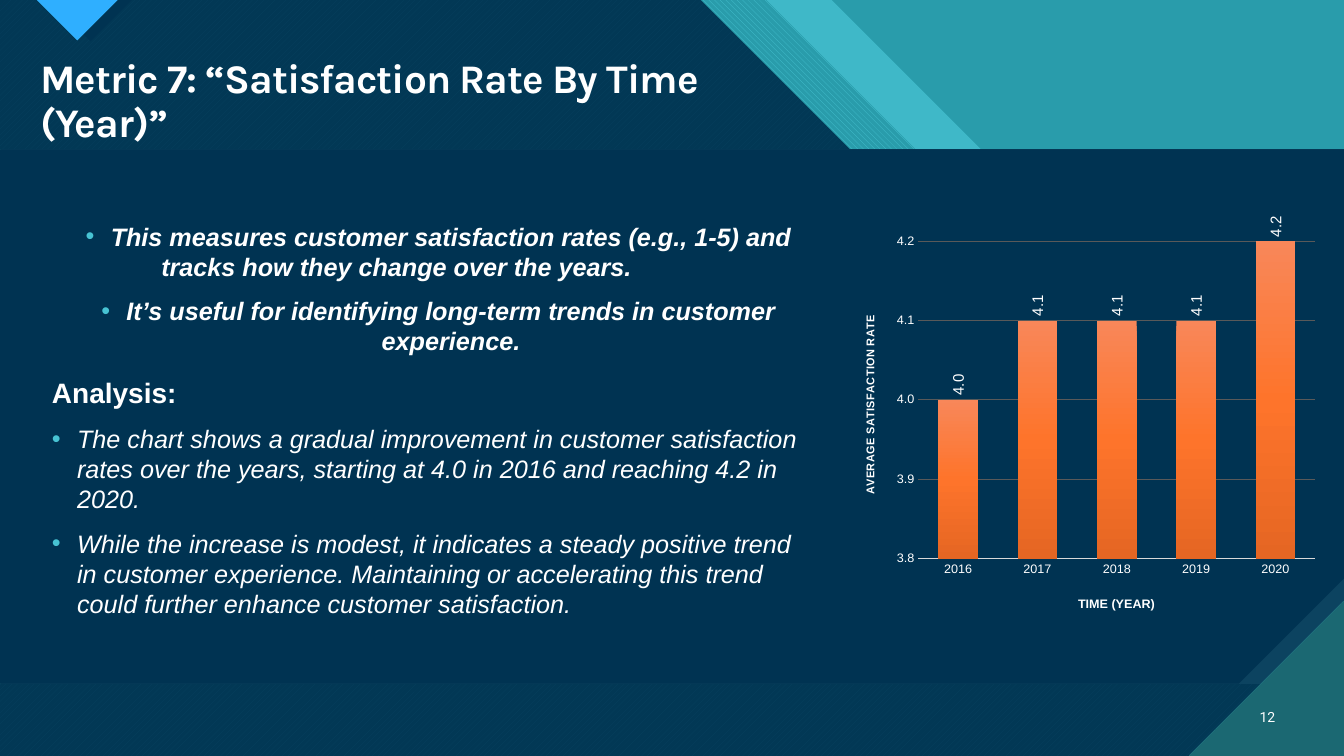
from pptx import Presentation
from pptx import util as u
from pptx.chart import data
from pptx.dml import color
from pptx.enum import chart as ch, dml, shapes, text
from pptx.oxml import parse_xml
from pptx.oxml.ns import qn
from lxml import etree

COLS, ROWS = 160, 90
CELL = u.Inches(1 / 12)
NS_A = "http://schemas.openxmlformats.org/drawingml/2006/main"
NS_C = "http://schemas.openxmlformats.org/drawingml/2006/chart"
WHITE, NAVY, TEAL, AQUA, PINE = "FFFFFF", "003352", "299CAB", "47C3D3", "1B6872"
PATTERN = dml.MSO_PATTERN


def rgb(value):
    return color.RGBColor.from_string(value)


def grid(*cells):
    return [round(cell * CELL) for cell in cells]


def place(parent, x, y, w=None, h=None):
    old = parent.find(qn("c:layout"))
    if old is not None:
        parent.remove(old)
    layout = etree.Element(qn("c:layout"))
    manual = etree.SubElement(layout, qn("c:manualLayout"))
    values = [("xMode", "edge"), ("yMode", "edge"), ("x", x), ("y", y)]
    if w:
        values = [("layoutTarget", "inner"), *values, ("w", w), ("h", h)]
    for tag, value in values:
        etree.SubElement(manual, qn("c:" + tag)).set("val", str(value))
    before = parent.find(qn("c:tx"))
    parent.insert(0 if before is None else 1, layout)


class Deck:
    base = {"name": "Arial", "size": u.Pt(18), "color": WHITE, "bold": False, "italic": False}

    def __init__(self):
        self.show = Presentation()
        self.show.slide_width, self.show.slide_height = grid(COLS, ROWS)
        self.slide = self.show.slides.add_slide(self.show.slide_layouts[6])
        backdrop = self.slide.background.fill
        backdrop.solid()
        backdrop.fore_color.rgb = rgb(AQUA)

    def style(self, font, **changes):
        for key, value in {**self.base, **changes}.items():
            if key == "color":
                font.color.rgb = rgb(value)
            else:
                setattr(font, key, value)

    def paint(self, shape, fill, pattern=None, back=None, alpha=None):
        shape.shadow.inherit = False
        shape.line.fill.background()
        if pattern:
            shape.fill.patterned()
            shape.fill.pattern = pattern
            shape.fill.back_color.rgb = rgb(back)
        else:
            shape.fill.solid()
        shape.fill.fore_color.rgb = rgb(fill)
        if alpha:
            tint = shape._element.spPr.find(".//" + qn("a:srgbClr"))
            etree.SubElement(tint, qn("a:alpha")).set("val", str(alpha * 1000))

    def block(self, kind, box, fill, **finish):
        shape = self.slide.shapes.add_shape(kind, *grid(*box))
        self.paint(shape, fill, **finish)
        return shape

    def outline(self, points, fill, **finish):
        start, *rest = [tuple(grid(*point)) for point in points]
        pen = self.slide.shapes.build_freeform(*start)
        pen.add_line_segments(rest)
        self.paint(pen.convert_to_shape(), fill, **finish)

    def sheet(self, top, shelf, fill, **finish):
        drop = 35.7
        self.outline([(0, 0), (top, 0), (top + drop, drop), (shelf, drop),
                      (COLS, drop + COLS - shelf), (COLS, ROWS), (0, ROWS)], fill, **finish)

    def words(self, box, lines, bullet=False, spacing=None, tracking=None,
              before=0, align=text.PP_ALIGN.LEFT, anchor=text.MSO_ANCHOR.TOP, **font):
        frame = self.slide.shapes.add_textbox(*grid(*box)).text_frame
        frame.word_wrap = True
        frame.vertical_anchor = anchor
        for number, line in enumerate(lines):
            para = frame.add_paragraph() if number else frame.paragraphs[0]
            para.alignment, para.space_before = align, u.Pt(before)
            if spacing:
                para.line_spacing = spacing
            run = para.add_run()
            run.text = line
            self.style(run.font, **font)
            if tracking:
                run.font._element.set("spc", str(tracking))
            if bullet:
                props = para._p.get_or_add_pPr()
                props.set("marL", str(u.Inches(0.25)))
                props.set("indent", str(-u.Inches(0.25)))
                tint = etree.SubElement(props, qn("a:buClr"))
                etree.SubElement(tint, qn("a:srgbClr")).set("val", AQUA)
                etree.SubElement(props, qn("a:buFont")).set("typeface", "Arial")
                etree.SubElement(props, qn("a:buChar")).set("char", "•")

    def axis(self, axis, title, size, spot):
        frame = axis.axis_title.text_frame
        frame.text = title
        self.style(frame.paragraphs[0].runs[0].font, size=u.Pt(size), bold=True)
        place(axis.axis_title._element, *spot)
        self.style(axis.tick_labels.font, size=u.Pt(9))
        axis.major_tick_mark = axis.minor_tick_mark = ch.XL_TICK_MARK.NONE

    def columns(self, box, years, rates):
        source = data.CategoryChartData(number_format="0.0")
        source.categories = years
        source.add_series("Series 1", rates)
        chart = self.slide.shapes.add_chart(
            ch.XL_CHART_TYPE.COLUMN_CLUSTERED, *grid(*box), source).chart
        chart.has_legend = chart.has_title = False
        self.style(chart.font, size=u.Pt(10))
        place(chart._chartSpace.chart.plotArea, 0.167, 0.039, 0.802, 0.817)

        time, rate = chart.category_axis, chart.value_axis
        self.axis(time, "TIME (YEAR)", 9, (0.485, 0.945))
        self.axis(rate, "AVERAGE SATISFACTION RATE", 8, (0.05, 0.235))
        time.format.line.color.rgb = rgb("D9D9D9")
        time.format.line.width = u.Pt(1)
        rate.axis_title.text_frame._txBody.bodyPr.set("rot", "-5400000")
        rate.minimum_scale, rate.maximum_scale, rate.major_unit = 3.8, 4.2, 0.1
        rate.tick_labels.number_format = "0.0"
        rate.tick_labels.number_format_is_linked = False
        rate.format.line.fill.background()
        rate.major_gridlines.format.line.color.rgb = rgb("595959")
        rate.major_gridlines.format.line.width = u.Pt(0.75)

        plot = chart.plots[0]
        plot.gap_width, plot.overlap, plot.vary_by_categories = 100, -24, False
        bars = plot.series[0]
        stops = "".join(f'<a:gs pos="{pos}"><a:srgbClr val="{tint}"/></a:gs>' for pos, tint in
                        ((0, "F88759"), (50000, "FE742B"), (100000, "E56623")))
        bars._element.get_or_add_spPr().append(parse_xml(
            f'<a:gradFill xmlns:a="{NS_A}"><a:gsLst>{stops}</a:gsLst>'
            '<a:lin ang="5400000" scaled="0"/></a:gradFill>'))
        labels = bars.data_labels
        for key, value in {"show_value": True, "number_format": "0.0",
                           "number_format_is_linked": False,
                           "position": ch.XL_LABEL_POSITION.OUTSIDE_END}.items():
            setattr(labels, key, value)
        self.style(labels.font, size=u.Pt(11))
        turn = labels._element.find(f"{{{NS_C}}}txPr").find(qn("a:bodyPr"))
        turn.set("rot", "-5400000")
        turn.set("vert", "horz")


def main():
    deck = Deck()
    deck.block(shapes.MSO_SHAPE.RECTANGLE, (0, 0, COLS, ROWS), TEAL)
    deck.sheet(99, 148.1, AQUA, alpha=74)
    deck.sheet(91.2, 142.1, AQUA, pattern=PATTERN.WIDE_DOWNWARD_DIAGONAL, back=TEAL)
    deck.sheet(83.4, 134.2, AQUA, pattern=PATTERN.WIDE_UPWARD_DIAGONAL, back=PINE)
    deck.sheet(83.4, 134.2, NAVY, alpha=90)
    deck.outline([(5.8, 0), (10.8, 4.9), (15.7, 0)], NAVY)
    deck.outline([(4.4, 0), (9.2, 4.8), (14, 0)], "2FAFFF",
                 pattern=PATTERN.DARK_HORIZONTAL, back=PINE)
    panel = (0, 17.8, COLS, 63.6)
    deck.block(shapes.MSO_SHAPE.RECTANGLE, panel, "0C4360",
               pattern=PATTERN.DARK_VERTICAL, back=PINE)
    front = deck.block(shapes.MSO_SHAPE.SNIP_1_RECTANGLE, panel, NAVY)
    front.adjustments[0] = 0.197
    front._element.spPr.xfrm.set("flipV", "1")
    deck.outline([(141.5, ROWS), (COLS, ROWS), (COLS, 71.5)], PINE,
                 pattern=PATTERN.DARK_HORIZONTAL, back=AQUA)

    deck.words((3.6, 6.4, 91.7, 11.8), ["Metric 7: “Satisfaction Rate By Time (Year)”"],
               spacing=0.9, tracking=-70, name="Karla", size=u.Pt(29), bold=True)
    deck.words((147.7, 82.9, 5.3, 4.8), ["12"], align=text.PP_ALIGN.RIGHT,
               anchor=text.MSO_ANCHOR.MIDDLE, name="Roboto", size=u.Pt(10))
    deck.words((5, 25.7, 94.4, 19), [
        "This measures customer satisfaction rates (e.g., 1-5) and tracks "
        "how they change over the years. \t\t\t",
        "It’s useful for identifying long-term trends in customer experience.",
    ], bullet=True, before=10, align=text.PP_ALIGN.CENTER, bold=True, italic=True)
    deck.columns((99.5, 25.7, 58.9, 47.5), ["2016", "2017", "2018", "2019", "2020"],
                 [4.0, 4.1, 4.1, 4.1, 4.2])
    deck.words((5, 44.6, 20, 6.4), ["Analysis:"], spacing=0.9, before=10,
               size=u.Pt(20), bold=True)
    deck.words((5, 49.8, 92.9, 30), [
        "The chart shows a gradual improvement in customer satisfaction rates over the years, "
        "starting at 4.0 in 2016 and reaching 4.2 in 2020.",
        "While the increase is modest, it indicates a steady positive trend in customer "
        "experience. Maintaining or accelerating this trend could further enhance "
        "customer satisfaction.",
    ], bullet=True, before=10, italic=True)
    deck.show.save("out.pptx")


if __name__ == "__main__":
    main()
